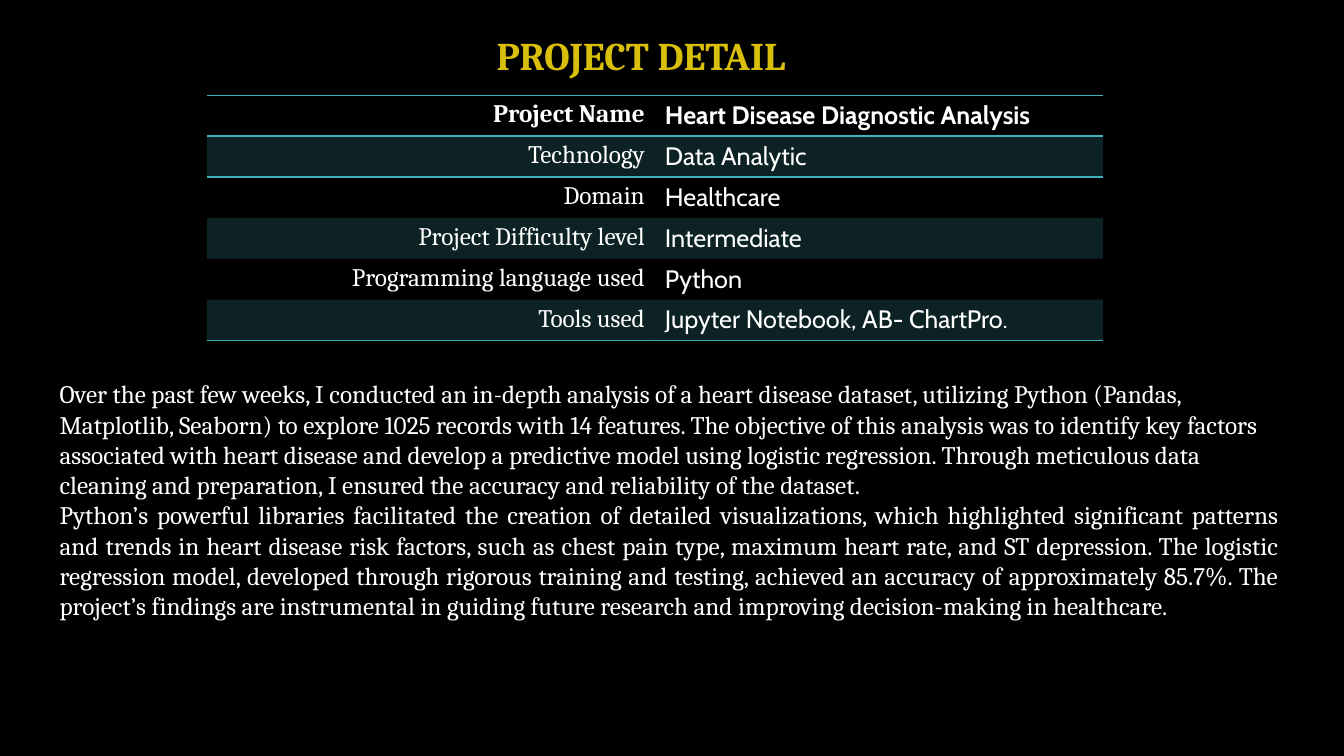
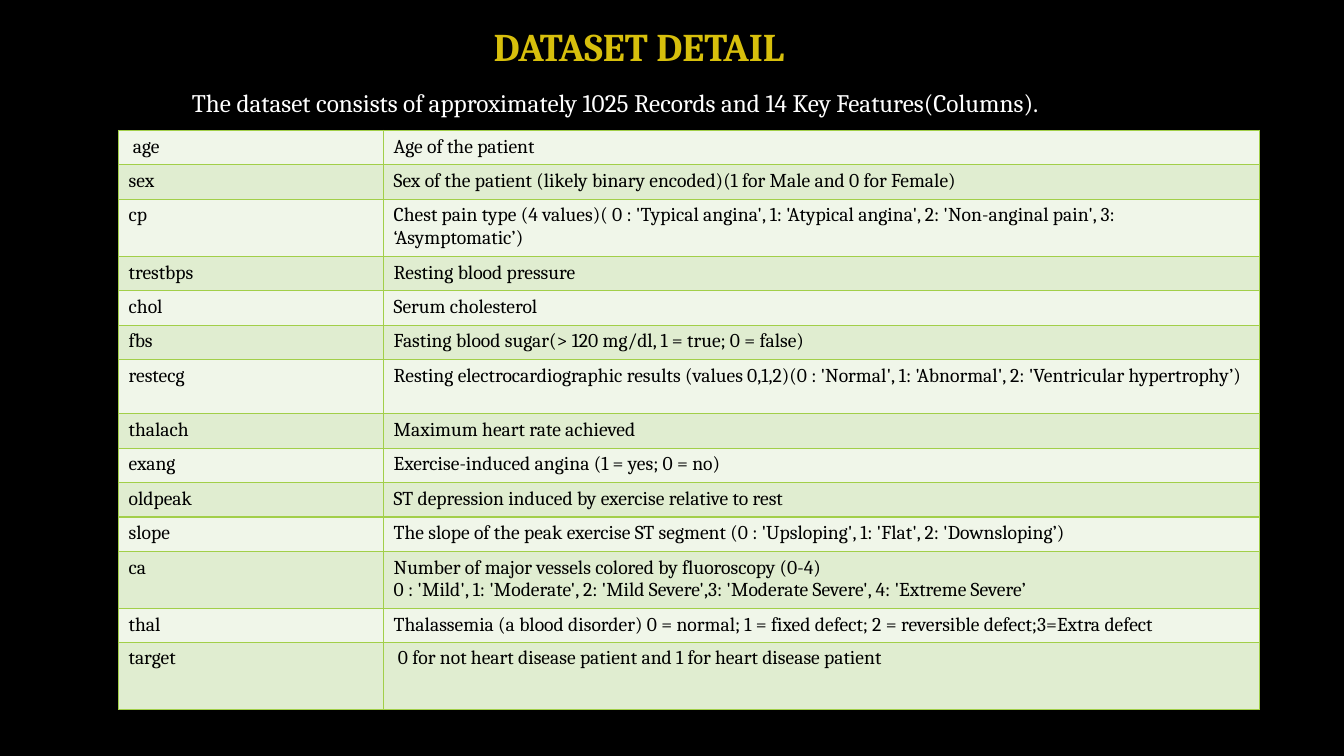
import pptx
import pptx.dml.color
import pptx.enum.text
import pptx.oxml
import pptx.oxml.ns
import pptx.util
from lxml import etree

Pt = pptx.util.Pt
qn = pptx.oxml.ns.qn
ALIGN = pptx.enum.text.PP_ALIGN

# Shared look
SERIF, SANS = "Cambria", "Cabin"
BLACK, WHITE, GOLD = "000000", "FFFFFF", "D7BF0C"
TEAL, LIME = "41AEBD", "A2CF49"
GREEN_BANDS = ("F0F6E9", "E0EDD0")
PLAIN_TABLE_STYLE = "{2D5ABB26-0587-4C30-8999-92F81FD0307C}"

PROJECT_ROWS = [
    ("Project Name", "Heart Disease Diagnostic Analysis"),
    ("Technology", "Data Analytic"),
    ("Domain", "Healthcare"),
    ("Project Difficulty level", "Intermediate"),
    ("Programming language used", "Python"),
    ("Tools used", "Jupyter Notebook, AB- ChartPro."),
]

SUMMARY = [
    "Over the past few weeks, I conducted an in-depth analysis of a heart disease dataset, "
    "utilizing Python (Pandas, Matplotlib, Seaborn) to explore 1025 records with 14 features. "
    "The objective of this analysis was to identify key factors associated with heart disease "
    "and develop a predictive model using logistic regression. Through meticulous data cleaning "
    "and preparation, I ensured the accuracy and reliability of the dataset.",
    "Python’s powerful libraries facilitated the creation of detailed visualizations, which "
    "highlighted significant patterns and trends in heart disease risk factors, such as chest "
    "pain type, maximum heart rate, and ST depression. The logistic regression model, developed "
    "through rigorous training and testing, achieved an accuracy of approximately 85.7%. The "
    "project’s findings are instrumental in guiding future research and improving "
    "decision-making in healthcare.",
]

FEATURES = [
    (" age", "Age of the patient"),
    ("sex", "Sex of the patient (likely binary encoded)(1 for Male and 0 for Female)"),
    ("cp", "Chest pain type (4 values)( 0 : 'Typical angina', 1: 'Atypical angina', "
           "2: 'Non-anginal pain', 3: ‘Asymptomatic’)"),
    ("trestbps", "Resting blood pressure"),
    ("chol", "Serum cholesterol"),
    ("fbs", "Fasting blood sugar(> 120 mg/dl, 1 = true; 0 = false)"),
    ("restecg", "Resting electrocardiographic results (values 0,1,2)(0 : 'Normal', "
                "1: 'Abnormal', 2: 'Ventricular hypertrophy’)"),
    ("thalach", "Maximum heart rate achieved"),
    ("exang", "Exercise-induced angina (1 = yes; 0 = no)"),
    ("oldpeak", "ST depression induced by exercise relative to rest"),
    ("slope", "The slope of the peak exercise ST segment (0 : 'Upsloping', 1: 'Flat', "
              "2: 'Downsloping’)"),
    ("ca", "Number of major vessels colored by fluoroscopy (0-4)\n"
           "0 : 'Mild', 1: 'Moderate', 2: 'Mild Severe',3: 'Moderate Severe', "
           "4: 'Extreme Severe’"),
    ("thal", "Thalassemia (a blood disorder) 0 = normal; 1 = fixed defect; "
             "2 = reversible defect;3=Extra defect"),
    ("target", " 0 for not heart disease patient and 1 for heart disease patient"),
]
FEATURE_ROW_HEIGHT = 24.6
OTHER_ROW_HEIGHTS = {"cp": 40.7, "restecg": 38.6, "ca": 40.4, "thal": 24, "target": 48.2}


def color(hex_text):
    return pptx.dml.color.RGBColor.from_string(hex_text)


def style_text(frame, size, hex_text, font=SERIF, bold=False, align=ALIGN.LEFT):
    for paragraph in frame.paragraphs:
        paragraph.alignment = align
        paragraph.font.name = font
        paragraph.font.size = Pt(size)
        paragraph.font.bold = bold
        paragraph.font.color.rgb = color(hex_text)


def add_text(slide, box, text, size, hex_text, **style):
    shape = slide.shapes.add_textbox(*map(Pt, box))
    frame = shape.text_frame
    frame.word_wrap = True
    frame.auto_size = pptx.enum.text.MSO_AUTO_SIZE.SHAPE_TO_FIT_TEXT
    frame.text = text
    style_text(frame, size, hex_text, **style)
    return frame


def add_title(slide, left, top, text):
    add_text(slide, (left, top, 510.5, 41), text, 28, GOLD, bold=True, align=ALIGN.CENTER)


def add_plain_table(slide, left, top, column_widths, row_heights):
    frame = slide.shapes.add_table(
        len(row_heights), len(column_widths), Pt(left), Pt(top),
        Pt(sum(column_widths)), Pt(sum(row_heights)))
    next(frame._element.iter(qn("a:tableStyleId"))).text = PLAIN_TABLE_STYLE
    table = frame.table
    table.first_row = table.horz_banding = False
    for column, width in zip(table.columns, column_widths):
        column.width = Pt(width)
    for row, height in zip(table.rows, row_heights):
        row.height = Pt(height)
    return table


def fill_cell(cell, hex_text, opacity=100):
    cell.fill.solid()
    cell.fill.fore_color.rgb = color(hex_text)
    if opacity < 100:
        tint = next(cell._tc.get_or_add_tcPr().iter(qn("a:srgbClr")))
        etree.SubElement(tint, qn("a:alpha")).set("val", str(opacity * 1000))


def border_cell(cell, sides, hex_text):
    """Draw 1 pt borders; sides follow the schema order L, R, T, B."""
    properties = cell._tc.get_or_add_tcPr()
    for position, side in enumerate(sides):
        line = etree.Element(qn("a:ln" + side), w=str(Pt(1)))
        solid = etree.SubElement(line, qn("a:solidFill"))
        etree.SubElement(solid, qn("a:srgbClr")).set("val", hex_text)
        properties.insert(position, line)


def add_project_table(slide, left, top, width, row_height):
    last = len(PROJECT_ROWS) - 1
    table = add_plain_table(slide, left, top, [width / 2] * 2, [row_height] * (last + 1))
    borders = {0: "TB", 1: "T", last: "B"}
    columns = ((SERIF, ALIGN.RIGHT), (SANS, ALIGN.LEFT))
    for row, texts in enumerate(PROJECT_ROWS):
        for column, (font, align) in enumerate(columns):
            cell = table.cell(row, column)
            cell.text = texts[column]
            style_text(cell.text_frame, 18, WHITE, font, row == 0, align)
            if row % 2:
                fill_cell(cell, TEAL, 20)
            else:
                cell.fill.background()
            border_cell(cell, borders.get(row, ""), TEAL)


def add_feature_table(slide, left, top, column_widths):
    heights = [OTHER_ROW_HEIGHTS.get(name, FEATURE_ROW_HEIGHT) for name, _ in FEATURES]
    table = add_plain_table(slide, left, top, column_widths, heights)
    for row, texts in enumerate(FEATURES):
        for column, text in enumerate(texts):
            cell = table.cell(row, column)
            cell.text = text
            style_text(cell.text_frame, 14, BLACK)
            fill_cell(cell, GREEN_BANDS[row % 2])
            border_cell(cell, "LRTB", LIME)


def build_project_slide(slide):
    add_title(slide, 202.5, 19, "PROJECT DETAIL")
    add_project_table(slide, 147.8, 68, 640, 29.2)
    summary = add_text(slide, (35.5, 267, 885, 225.5), "\n".join(SUMMARY), 18, WHITE)
    summary.paragraphs[1].alignment = ALIGN.JUSTIFY


def build_dataset_slide(slide):
    add_title(slide, 201, 12.5, "DATASET DETAIL")
    add_feature_table(slide, 84.7, 93.2, (189.3, 625.7))
    add_text(slide, (130, 58.5, 685, 29),
             "The dataset consists of approximately 1025 Records and 14 Key Features(Columns).",
             18, WHITE)


def main():
    presentation = pptx.Presentation()
    presentation.slide_width, presentation.slide_height = Pt(960), Pt(540)
    background = presentation.slide_master.background.fill
    background.solid()
    background.fore_color.rgb = color(BLACK)
    for build in (build_project_slide, build_dataset_slide):
        build(presentation.slides.add_slide(presentation.slide_layouts[6]))
    presentation.save("out.pptx")


if __name__ == "__main__":
    main()
